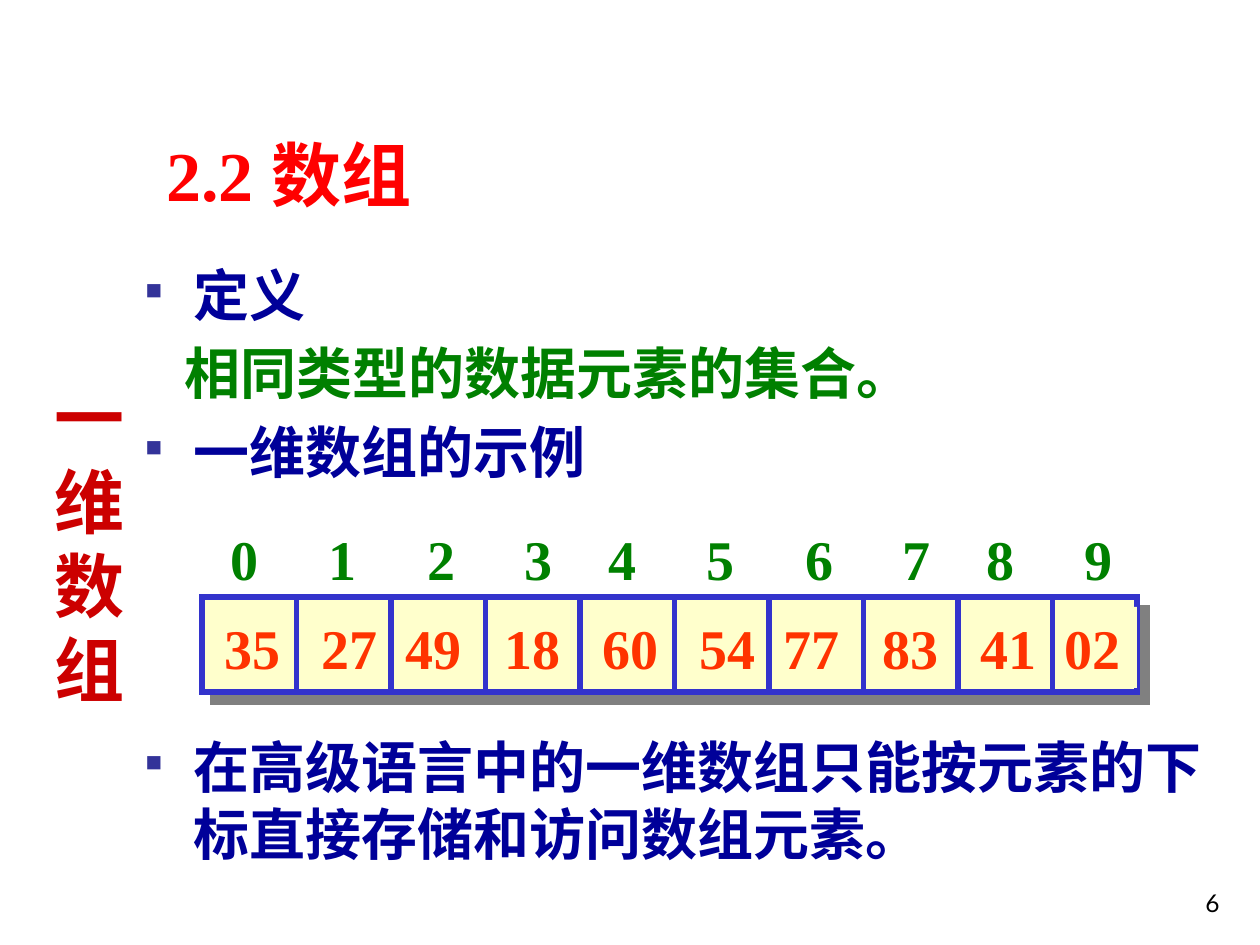
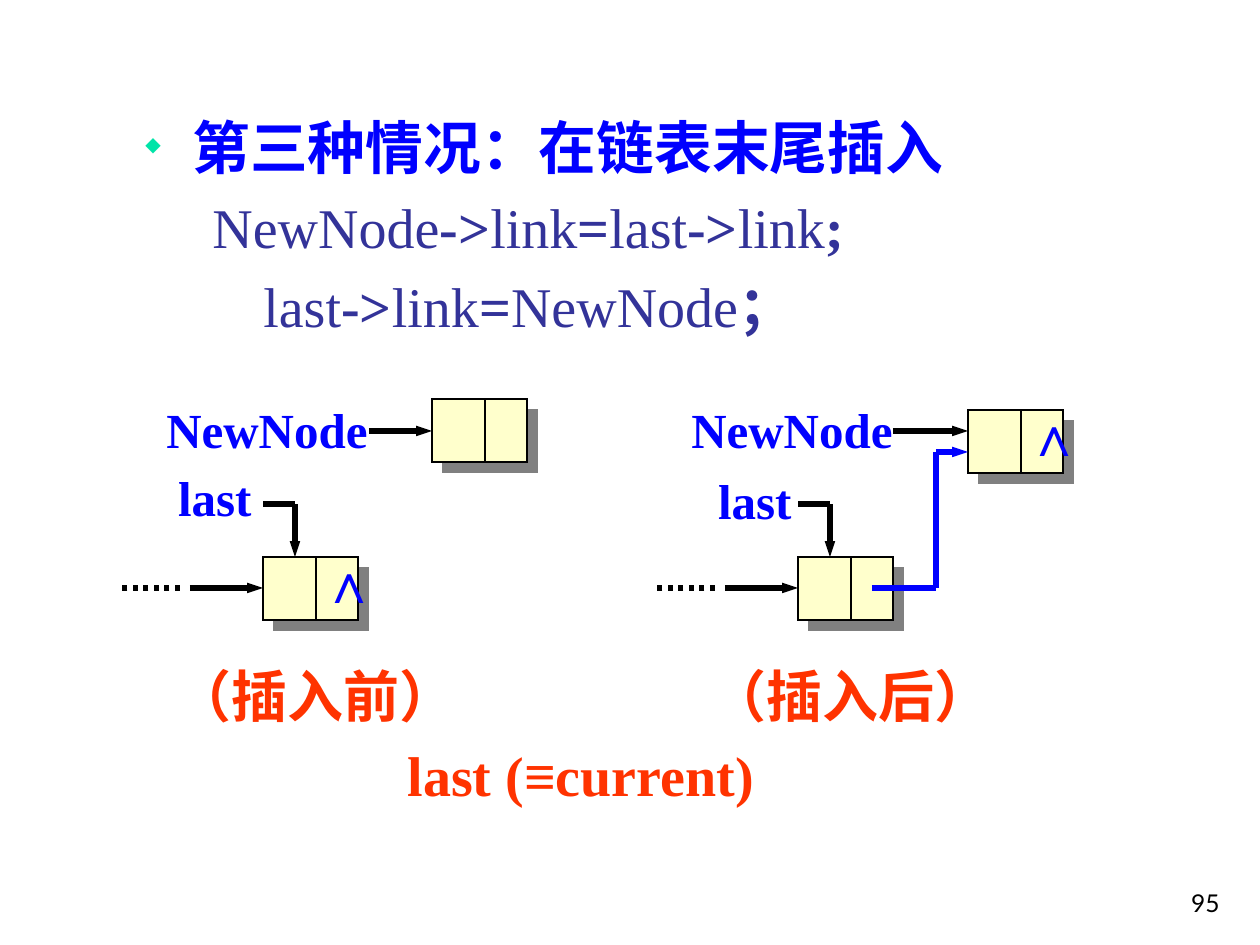
from dataclasses import dataclass
from itertools import accumulate
from typing import Optional

from lxml import etree
from pptx import Presentation
from pptx import util as u
from pptx.dml import color as dml_color
from pptx.enum import dml, shapes, text
from pptx.oxml import ns

COLORS = {
    "black": "000000", "title": "FF0000", "side": "CC0000", "navy": "000099",
    "green": "008000", "blue": "0000FF", "indigo": "333399", "orange": "FF3300",
    "grid": "3333CC", "cream": "FFFFCC", "mint": "00E4A8", "shadow": "808080",
}
SERIF = "Times New Roman"
SANS = "Lato"
SPACE_BEFORE = 6.4
LEFT, RIGHT, CENTER = text.PP_ALIGN.LEFT, text.PP_ALIGN.RIGHT, text.PP_ALIGN.CENTER


@dataclass
class Bullet:
    mark: str
    color: str
    percent: int


@dataclass
class Para:
    words: tuple[str, ...]
    color: str
    size: float = 32
    bold: bool = True
    alternate_bold: bool = False
    font: str = SERIF
    align: text.PP_ALIGN = LEFT
    before: float = SPACE_BEFORE
    margin: int = 0
    hang: int = 0
    bullet: Optional[Bullet] = None


@dataclass
class Row:
    items: str
    color: str
    center: int
    top: int
    gaps: tuple[int, ...]


@dataclass
class Stage:
    shift: int
    label_left: int
    last_left: int
    last_top: int
    arrow_start: int
    new_left: int
    new_top: int
    linked: bool
    caption: str


def px(value: float) -> u.Emu:
    return u.Emu(round(value * 914400 / 126))


def rgb(name: str) -> dml_color.RGBColor:
    return dml_color.RGBColor.from_string(COLORS[name])


def add_xml(parent, tag: str, **attributes):
    return etree.SubElement(parent, ns.qn(tag), attributes)


def write_para(para, data: Para) -> None:
    props = para._p.get_or_add_pPr()
    props.set("marL", str(px(data.margin)))
    props.set("indent", str(px(-data.hang)))
    if data.bullet:
        tint = add_xml(props, "a:buClr")
        add_xml(tint, "a:srgbClr", val=COLORS[data.bullet.color])
        add_xml(props, "a:buSzPct", val=str(data.bullet.percent * 1000))
        add_xml(props, "a:buChar", char=data.bullet.mark)
    else:
        add_xml(props, "a:buNone")
    para.alignment = data.align
    para.space_before = u.Pt(data.before)
    para.font.name = data.font
    para.font.size = u.Pt(data.size)
    para.font.color.rgb = rgb(data.color)
    if not data.alternate_bold:
        para.font.bold = data.bold
    for index, word in enumerate(data.words):
        span = para.add_run()
        span.text = word
        if data.alternate_bold:
            span.font.bold = index % 2 == 1


def add_text(page, left: int, top: int, width: int, height: int, *paras: Para,
             wrap: bool = True, anchor=text.MSO_ANCHOR.TOP) -> None:
    box = page.shapes.add_textbox(px(left), px(top), px(width), px(height))
    frame = box.text_frame
    frame.word_wrap = wrap
    frame.vertical_anchor = anchor
    if not wrap:
        frame.auto_size = text.MSO_AUTO_SIZE.SHAPE_TO_FIT_TEXT
    for index, data in enumerate(paras):
        write_para(frame.add_paragraph() if index else frame.paragraphs[0], data)


def add_line(page, x1: float, y1: float, x2: float, y2: float, color: str = "black",
             width: float = 3, arrow: bool = False, dotted: bool = False) -> None:
    line = page.shapes.add_connector(shapes.MSO_CONNECTOR.STRAIGHT,
                                     px(x1), px(y1), px(x2), px(y2))
    line.line.color.rgb = rgb(color)
    line.line.width = u.Pt(width)
    if dotted:
        line.line.dash_style = dml.MSO_LINE.ROUND_DOT
    props = line._element.spPr
    if arrow:
        add_xml(props.find(ns.qn("a:ln")), "a:tailEnd", type="triangle", w="sm", len="med")
    add_xml(props, "a:effectLst")


def add_cream_box(page, left: int, top: int, width: int, height: int):
    box = page.shapes.add_shape(shapes.MSO_SHAPE.RECTANGLE,
                                px(left), px(top), px(width), px(height))
    box.fill.solid()
    box.fill.fore_color.rgb = rgb("cream")
    box.line.fill.background()
    box.shadow.inherit = False
    return box


def add_shadowed_box(page, left: int, top: int, width: int, height: int,
                     color: str, line_width: float) -> None:
    box = add_cream_box(page, left, top, width, height)
    box.line.color.rgb = rgb(color)
    box.line.width = u.Pt(line_width)
    props = box._element.spPr
    add_xml(props.find(ns.qn("a:ln")), "a:miter", lim="800000")
    shadow = add_xml(props.find(ns.qn("a:effectLst")), "a:outerShdw",
                     dist=str(u.Pt(8.5)), dir="2700000", algn="ctr", rotWithShape="0")
    add_xml(shadow, "a:srgbClr", val=COLORS["shadow"])


def add_page(deck, number: int):
    page = deck.slides.add_slide(deck.slide_layouts[6])
    add_text(page, 970, 861, 262, 63,
             Para((str(number),), "black", 14, False, font=SANS, align=RIGHT, before=0),
             anchor=text.MSO_ANCHOR.BOTTOM)
    return page


def draw_row(page, row: Row) -> None:
    width = 94
    centers = accumulate(row.gaps, initial=row.center)
    for item, center in zip(row.items.split(), centers):
        add_text(page, center - width // 2, row.top, width, 81,
                 Para((item,), row.color, align=CENTER))


def draw_array(page) -> None:
    left, top, width, height, cells = 202, 597, 935, 95, 10
    wide, narrow = 98, 84
    add_shadowed_box(page, left, top, width, height, "grid", 3)
    add_cream_box(page, 213, 607, 924, 81)
    for index in range(1, cells):
        x = left + 94.5 * index
        add_line(page, x, top, x, top + height, "grid")
    draw_row(page, Row("35 27 49 18 60 54 77 83 41 02", "orange", 252, 607,
                       (wide, narrow, wide, wide, wide, narrow, wide, wide, narrow)))
    draw_row(page, Row("0 1 2 3 4 5 6 7 8 9", "green", 245, 518,
                       (wide, wide, wide, narrow, wide, wide, wide, narrow, wide)))


def draw_node(page, left: int, top: int, end_mark: bool) -> None:
    add_shadowed_box(page, left, top, 95, 63, "black", 0.75)
    add_line(page, left + 53, top, left + 53, top + 63, width=0.75)
    if end_mark:
        add_text(page, left + 46, top - 16, 59, 79, Para(("∧",), "blue"), wrap=False)


def draw_stage(page, stage: Stage) -> None:
    left, top = 263 + stage.shift, 557
    middle = top + 31
    draw_node(page, left, top, not stage.linked)
    draw_node(page, stage.new_left, stage.new_top, stage.linked)
    add_text(page, stage.label_left, 393, 229, 72,
             Para(("NewNode",), "blue", 28), wrap=False)
    add_line(page, stage.arrow_start, 431, stage.new_left, 431, arrow=True)
    add_text(page, stage.last_left, stage.last_top, 100, 72,
             Para(("last",), "blue", 28, align=RIGHT), wrap=False)
    add_line(page, left + 32, 504, left, 504)
    add_line(page, left + 32, 504, left + 32, top, arrow=True)
    add_line(page, left - 73, middle, left, middle, arrow=True)
    add_line(page, left - 83, middle, left - 146, middle, dotted=True)
    if stage.linked:
        bend = 936
        add_line(page, left + 74, middle, bend, middle, "blue")
        add_line(page, bend, 452, bend, middle, "blue")
        add_line(page, bend, 452, stage.new_left, 452, "blue", arrow=True)
    add_text(page, 156 + stage.shift, 655, 320, 81,
             Para((stage.caption,), "orange", align=CENTER))


def build_array_page(deck) -> None:
    page = add_page(deck, 6)
    add_text(page, 154, 125, 804, 105, Para(("2.2 数组",), "title", 40, before=0))
    add_text(page, 42, 368, 89, 318, Para(("一维数组",), "side", 40, before=0))
    item = {"color": "navy", "margin": 48, "hang": 48,
            "bullet": Bullet("■", "indigo", 41)}
    add_text(page, 133, 254, 1100, 651,
             Para(("定义",), **item),
             Para(("相同类型的数据元素的集合。",), "green", margin=39),
             Para(("一维数组的示例",), **item),
             Para(("在高级语言中的一维数组只能按元素的下标直接存储和访问数组元素。",),
                  before=142, **item))
    draw_array(page)


def build_insert_page(deck) -> None:
    page = add_page(deck, 95)
    add_text(page, 64, 106, 1103, 566,
             Para(("第三种情况：在链表末尾插入",), "blue", 33,
                  margin=116, hang=47, bullet=Bullet("◆", "mint", 35)),
             Para(("NewNode", "->", "link", "=", "last", "->", "link", ";"), "indigo",
                  alternate_bold=True, margin=136),
             Para(("last", "->", "link", "=", "NewNode", "；"), "indigo",
                  alternate_bold=True, margin=187))
    draw_stage(page, Stage(0, 154, 164, 461, 369, 432, 399, False, "（插入前）"))
    draw_stage(page, Stage(535, 679, 704, 464, 893, 968, 410, True, "（插入后）"))
    add_text(page, 143, 734, 876, 81, Para(("last (≡current)",), "orange", align=CENTER))


def main() -> None:
    deck = Presentation()
    deck.slide_width, deck.slide_height = px(1260), px(945)
    build_array_page(deck)
    build_insert_page(deck)
    deck.save("out.pptx")


main()
